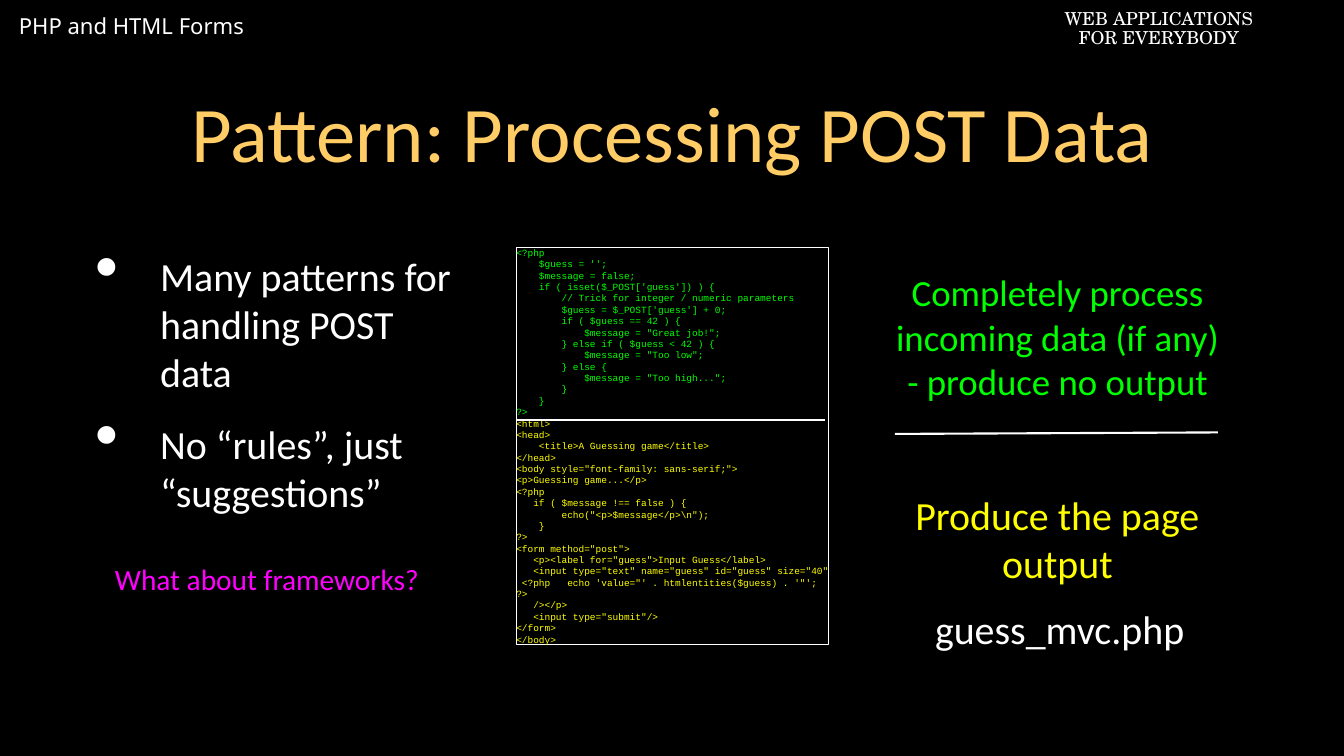
"""Build the slide on the pattern for processing POST data."""
from dataclasses import dataclass
from typing import Optional

import lxml.etree
import pptx
import pptx.dml.color
import pptx.enum.shapes
import pptx.enum.text
import pptx.oxml.ns
import pptx.util

Inches = pptx.util.Inches
Pt = pptx.util.Pt
RGBColor = pptx.dml.color.RGBColor
Align = pptx.enum.text.PP_ALIGN
Anchor = pptx.enum.text.MSO_ANCHOR
AutoSize = pptx.enum.text.MSO_AUTO_SIZE
qn = pptx.oxml.ns.qn

BLACK = RGBColor(0x00, 0x00, 0x00)
WHITE = RGBColor(0xFF, 0xFF, 0xFF)
GOLD = RGBColor(0xFF, 0xCC, 0x66)
GREEN = RGBColor(0x00, 0xFF, 0x00)
YELLOW = RGBColor(0xFF, 0xFF, 0x00)
MAGENTA = RGBColor(0xFF, 0x00, 0xFF)

PROCESSING_CODE = r"""<?php
    $guess = '';
    $message = false;
    if ( isset($_POST['guess']) ) {
        // Trick for integer / numeric parameters
        $guess = $_POST['guess'] + 0;
        if ( $guess == 42 ) {
            $message = "Great job!";
        } else if ( $guess < 42 ) {
            $message = "Too low";
        } else {
            $message = "Too high...";
        }
    }
?>"""

OUTPUT_CODE = r"""<html>
<head>
    <title>A Guessing game</title>
</head>
<body style="font-family: sans-serif;">
<p>Guessing game...</p>
<?php
   if ( $message !== false ) {
        echo("<p>$message</p>\n");
    }
?>
<form method="post">
   <p><label for="guess">Input Guess</label>
   <input type="text" name="guess" id="guess" size="40"
 <?php   echo 'value="' . htmlentities($guess) . '"';
?>
   /></p>
   <input type="submit"/>
</form>
</body>"""


@dataclass(frozen=True)
class Passage:
    """Lines of text in one colour."""
    lines: list[str]
    color: RGBColor


@dataclass(frozen=True)
class Block:
    """A placed piece of text and its format."""
    place: tuple[float, float, float, float]
    passages: list[Passage]
    size: float
    font: str = "Calibri"
    align: Align = Align.CENTER
    anchor: Anchor = Anchor.MIDDLE
    inset: tuple[float, float] = (0, 0)
    grow: bool = False
    wrap: bool = True
    spacing: Optional[float] = None
    bulleted: bool = False
    outlined: bool = False


@dataclass(frozen=True)
class Divider:
    """A white line between two points."""
    start: tuple[float, float]
    end: tuple[float, float]


BLOCKS = [
    Block((0.07, 0.07, 5.9, 0.88), [Passage(["PHP and HTML Forms"], WHITE)], 21, "Noto Sans",
          Align.LEFT, Anchor.TOP, (0.18, 0.09), grow=True),
    Block((13.31, 0.08, 4.04, 0.61), [Passage(["WEB APPLICATIONS", "FOR EVERYBODY"], WHITE)], 17,
          "TeX Gyre Schola", anchor=Anchor.TOP, inset=(0.1, 0.05), grow=True, spacing=0.9),
    Block((1.65, 0.7, 14.48, 2.06), [Passage(["Pattern: Processing POST Data"], GOLD)], 75,
          inset=(0.1, 0.1)),
    Block((0.81, 2.75, 5.31, 4.64),
          [Passage(["Many patterns for handling POST data", "No “rules”, just “suggestions”"], WHITE)],
          38, align=Align.LEFT, inset=(0.1, 0.1), bulleted=True),
    Block((6.83, 3.27, 4.13, 5.26),
          [Passage(PROCESSING_CODE.split("\n"), GREEN), Passage(OUTPUT_CODE.split("\n"), YELLOW)],
          9, "Courier New", Align.LEFT, grow=True, wrap=False, outlined=True),
    Block((11.81, 3.17, 4.36, 2.56),
          [Passage(["Completely process incoming data (if any) - produce no output"], GREEN)], 35.1),
    Block((11.81, 6.46, 4.36, 1.33), [Passage(["Produce the page output"], YELLOW)], 38),
    Block((12.11, 8, 3.82, 0.63), [Passage(["guess_mvc.php"], WHITE)], 38, grow=True, wrap=False),
    Block((1.31, 7.33, 4.44, 1.11), [Passage(["What about frameworks?"], MAGENTA)], 28,
          anchor=Anchor.TOP, inset=(0.18, 0.09), grow=True),
]

DIVIDERS = [Divider((6.83, 5.55), (10.91, 5.55)), Divider((11.84, 5.74), (16.11, 5.72))]


def apply(target: object, values: dict) -> None:
    """Set every named attribute on the target."""
    for name, value in values.items():
        setattr(target, name, value)


def add_bullet(paragraph) -> None:
    """Give the paragraph a large white bullet with a hanging indent."""
    properties = paragraph._p.get_or_add_pPr()
    properties.set("marL", str(Inches(1.21)))
    properties.set("indent", str(Inches(-0.86)))
    color = lxml.etree.SubElement(properties, qn("a:buClr"))
    lxml.etree.SubElement(color, qn("a:srgbClr"), val=str(WHITE))
    lxml.etree.SubElement(properties, qn("a:buSzPct"), val="171000")
    lxml.etree.SubElement(properties, qn("a:buChar"), char="•")


def add_block(slide, block: Block) -> None:
    """Draw one block of text."""
    place = [Inches(length) for length in block.place]
    if block.outlined:
        holder = slide.shapes.add_shape(pptx.enum.shapes.MSO_SHAPE.RECTANGLE, *place)
        holder.shadow.inherit = False
        holder.fill.background()
        holder.line.color.rgb = WHITE
        holder.line.width = Pt(1)
    else:
        holder = slide.shapes.add_textbox(*place)
    frame = holder.text_frame
    side, end = (Inches(length) for length in block.inset)
    apply(frame, {
        "margin_left": side, "margin_right": side, "margin_top": end, "margin_bottom": end,
        "vertical_anchor": block.anchor, "word_wrap": block.wrap,
        "auto_size": AutoSize.SHAPE_TO_FIT_TEXT if block.grow else AutoSize.NONE,
    })
    lines = [(line, passage.color) for passage in block.passages for line in passage.lines]
    for index, (line, color) in enumerate(lines):
        paragraph = frame.add_paragraph() if index else frame.paragraphs[0]
        apply(paragraph, {"alignment": block.align, "line_spacing": block.spacing})
        if block.bulleted:
            paragraph.space_before = Pt(23 if index else 0)
            add_bullet(paragraph)
        run = paragraph.add_run()
        run.text = line
        apply(run.font, {"name": block.font, "size": Pt(block.size)})
        run.font.color.rgb = color


def add_divider(slide, divider: Divider) -> None:
    """Draw one dividing line."""
    ends = [Inches(length) for length in divider.start + divider.end]
    line = slide.shapes.add_connector(pptx.enum.shapes.MSO_CONNECTOR.STRAIGHT, *ends)
    line.line.color.rgb = WHITE
    line.line.width = Pt(2)
    lxml.etree.SubElement(line._element.spPr, qn("a:effectLst"))


def main() -> None:
    """Build and save the presentation."""
    presentation = pptx.Presentation()
    apply(presentation, {"slide_width": Inches(17.78), "slide_height": Inches(10)})
    slide = presentation.slides.add_slide(presentation.slide_layouts[6])
    slide.background.fill.solid()
    slide.background.fill.fore_color.rgb = BLACK
    for block in BLOCKS:
        add_block(slide, block)
    for divider in DIVIDERS:
        add_divider(slide, divider)
    presentation.save("out.pptx")


if __name__ == "__main__":
    main()
